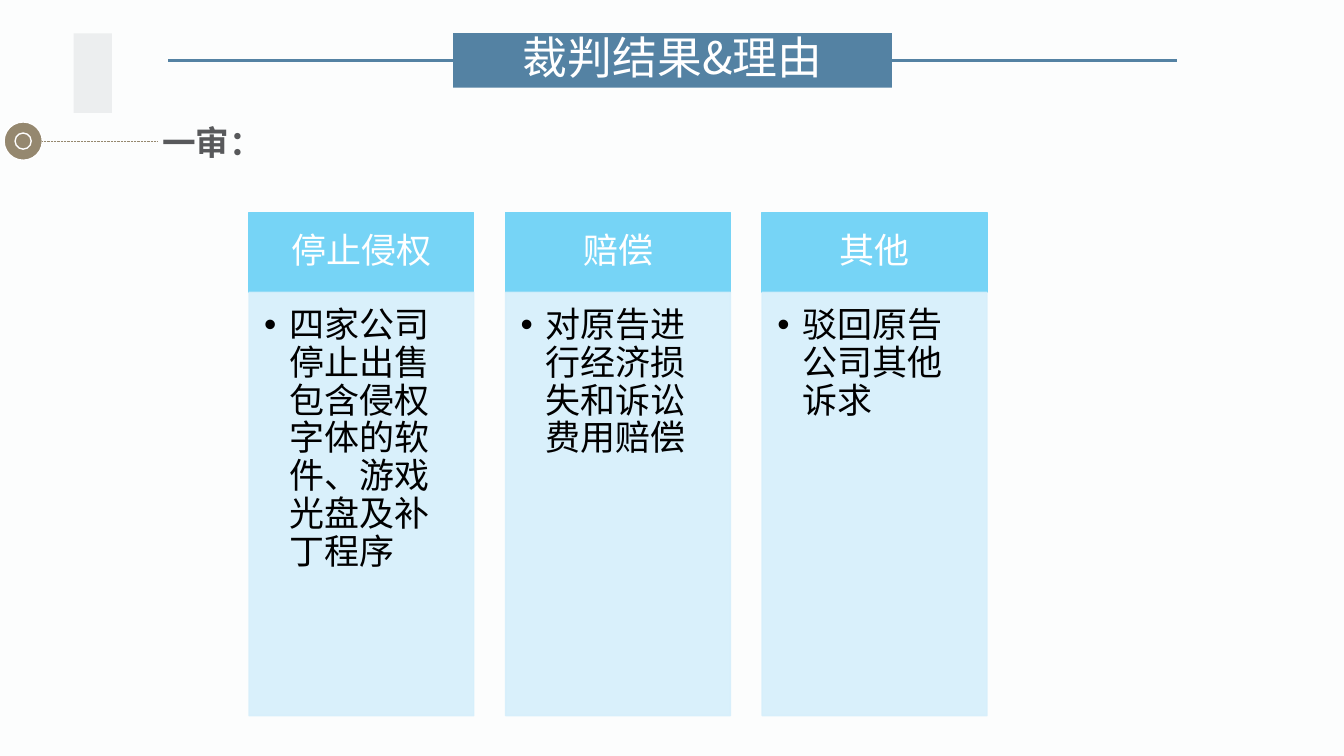
from lxml.etree import SubElement
from pptx import Presentation
from pptx.dml.color import RGBColor
from pptx.enum.dml import MSO_LINE_DASH_STYLE as Dash
from pptx.enum.shapes import MSO_CONNECTOR as Connector, MSO_SHAPE as Shape
from pptx.enum.text import MSO_ANCHOR as Anchor, PP_ALIGN as Align
from pptx.oxml.ns import qn
from pptx.util import Inches, Pt

CJK = "Noto Sans CJK SC"
STEEL, TAUPE, SKY, PALE = "5482A3", "95886F", "76D4F6", "D6EFFB"
WHITE, BLACK, GREY = "FFFFFF", "000000", "58595B"
VERDICTS = [
    ("停止侵权", "四家公司停止出售包含侵权字体的软件、游戏光盘及补丁程序"),
    ("赔偿", "对原告进行经济损失和诉讼费用赔偿"),
    ("其他", "驳回原告公司其他诉求"),
]


def color(hex_code):
    """Turn a hex string into a colour."""
    return RGBColor.from_string(hex_code)


def style_run(run, size, hex_code, font=CJK, bold=False):
    """Set the font of a run for Latin and East Asian characters."""
    run.font.size = Pt(size)
    run.font.bold = bold
    run.font.name = font
    run.font.color.rgb = color(hex_code)
    SubElement(run.font._element, qn("a:ea")).set("typeface", CJK)


def add_block(slide, kind, box, fill, outline=None, opacity=100):
    """Add a filled shape, optionally outlined and see-through."""
    block = slide.shapes.add_shape(kind, *map(Inches, box))
    block.shadow.inherit = False
    block.fill.solid()
    block.fill.fore_color.rgb = color(fill)
    if outline:
        block.line.color.rgb = color(outline)
        block.line.width = Pt(1)
    else:
        block.line.fill.background()
    if opacity < 100:
        for tint in block._element.spPr.iter(qn("a:srgbClr")):
            SubElement(tint, qn("a:alpha")).set("val", str(opacity * 1000))
    return block


def add_rule(slide, left, right, y, hex_code, width):
    """Draw a horizontal line."""
    rule = slide.shapes.add_connector(
        Connector.STRAIGHT, Inches(left), Inches(y), Inches(right), Inches(y))
    rule.line.color.rgb = color(hex_code)
    rule.line.width = Pt(width)
    SubElement(rule._element.spPr, qn("a:effectLst"))
    return rule


def write(shape, text, size, hex_code, insets, anchor, align, font=CJK, bold=False):
    """Put one formatted paragraph into a shape and return it."""
    frame = shape.text_frame
    frame.word_wrap = True
    frame.vertical_anchor = anchor
    (frame.margin_left, frame.margin_top,
     frame.margin_right, frame.margin_bottom) = map(Inches, insets)
    frame.text = text
    paragraph = frame.paragraphs[0]
    paragraph.alignment = align
    style_run(paragraph.runs[0], size, hex_code, font, bold)
    return paragraph


def add_title(slide, left, top, width, height):
    """Draw the title banner with a line on each side."""
    banner_width, banner_height = 4.35, 0.54
    banner_left = left + (width - banner_width) / 2
    middle = top + banner_height / 2
    add_block(slide, Shape.RECTANGLE, (0.73, top, 0.38, height), "ECEEEF")
    banner = add_block(slide, Shape.RECTANGLE,
                       (banner_left, top, banner_width, banner_height), STEEL)
    title = write(banner, "裁判结果&理由", 32, WHITE, (0.1, 0.05, 0.1, 0.05),
                  Anchor.MIDDLE, Align.CENTER)
    title.line_spacing = 0.9
    left_rule = add_rule(slide, left, banner_left, middle, STEEL, 2)
    left_rule.end_connect(banner, 1)
    right_rule = add_rule(slide, banner_left + banner_width, left + width, middle, STEEL, 2)
    right_rule.begin_connect(banner, 3)


def add_section(slide, left, top, width, height):
    """Draw the ring marker, dotted leader and section heading."""
    ring, hole, label_left = 0.38, 0.16, left + 1.52
    middle = top + 0.26
    for size in (ring, hole):
        inset = (ring - size) / 2
        add_block(slide, Shape.OVAL,
                  (left + inset, middle - size / 2, size, size), TAUPE, WHITE)
    leader = add_rule(slide, left + ring, label_left, middle, TAUPE, 0.5)
    leader.line.dash_style = Dash.ROUND_DOT
    label = slide.shapes.add_textbox(
        *map(Inches, (label_left, top, left + width - label_left, height)))
    heading = write(label, "一审", 24, GREY, (0.05,) * 4, Anchor.BOTTOM, Align.LEFT, bold=True)
    colon = heading.add_run()
    colon.text = "："
    style_run(colon, 24, GREY, "Times New Roman", True)


def add_verdict(slide, left, top, width, height, heading, detail):
    """Draw one column: a heading cell above a bulleted body."""
    head_height = 0.79
    head = add_block(slide, Shape.RECTANGLE, (left, top, width, head_height), SKY, SKY)
    body = add_block(slide, Shape.RECTANGLE,
                     (left, top + head_height, width, height - head_height),
                     PALE, PALE, 90)
    head_line = write(head, heading, 25, WHITE, (0.19, 0.11, 0.19, 0.11),
                      Anchor.MIDDLE, Align.CENTER, "Arial")
    bullet = write(body, detail, 25, BLACK, (0.15, 0.15, 0.19, 0.22),
                   Anchor.TOP, Align.LEFT, "Arial")
    head_line.line_spacing = bullet.line_spacing = 0.9
    properties = bullet._p.get_or_add_pPr()
    properties.set("marL", str(Inches(0.25)))
    properties.set("indent", str(Inches(-0.25)))
    SubElement(properties, qn("a:buFont")).set("typeface", "Arial")
    SubElement(properties, qn("a:buChar")).set("char", "•")


def add_verdicts(slide, left, top, width, height):
    """Spread the verdict columns evenly over the box."""
    column = 2.23
    step = (width - column) / (len(VERDICTS) - 1)
    for index, (heading, detail) in enumerate(VERDICTS):
        add_verdict(slide, left + index * step, top, column, height, heading, detail)


def main():
    """Build and save the slide."""
    deck = Presentation()
    deck.slide_width, deck.slide_height = Inches(13.33), Inches(7.5)
    slide = deck.slides.add_slide(deck.slide_layouts[6])
    slide.background.fill.solid()
    slide.background.fill.fore_color.rgb = color("FCFDFD")
    add_title(slide, 1.67, 0.33, 10, 0.79)
    add_section(slide, 0.04, 1.14, 3.34, 0.52)
    add_verdicts(slide, 2.47, 2.11, 7.32, 4.99)
    deck.save("out.pptx")


if __name__ == "__main__":
    main()
